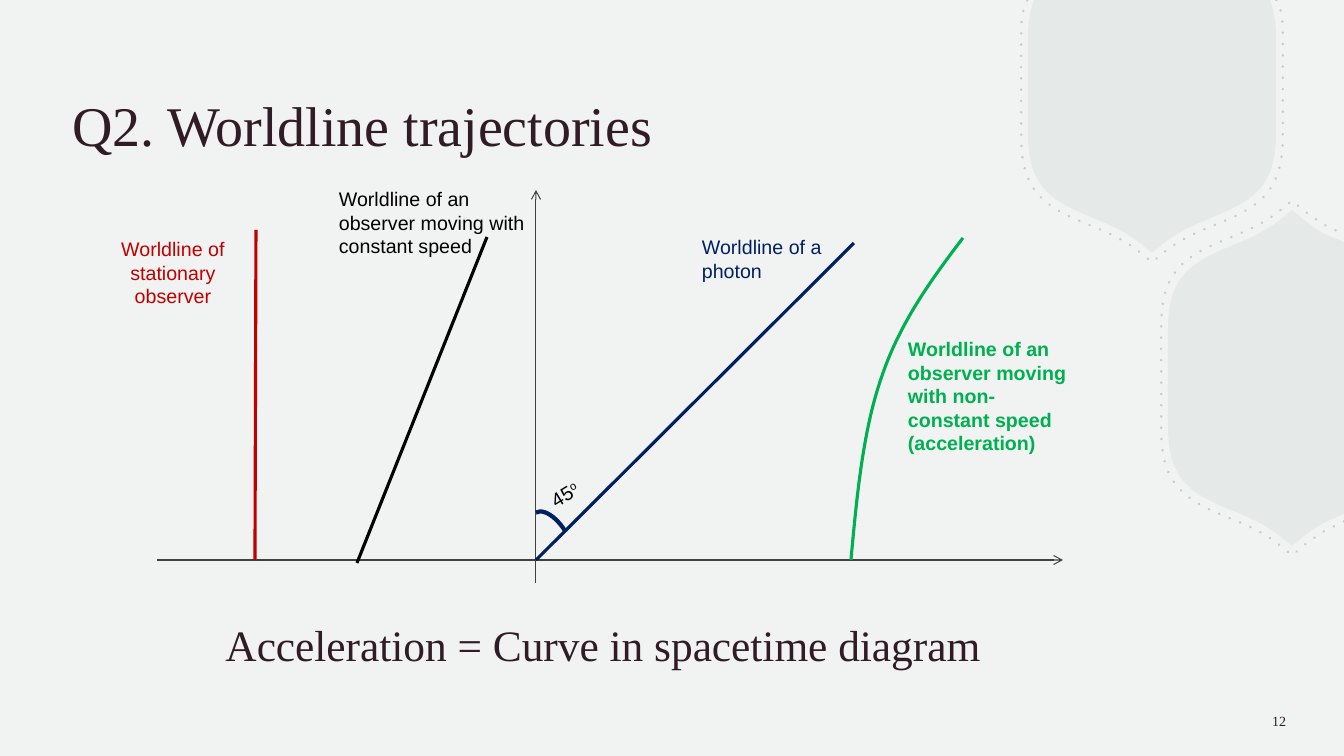
from lxml import etree
from pptx import Presentation
from pptx.dml.color import RGBColor
from pptx.enum.dml import MSO_LINE
from pptx.enum.shapes import MSO_CONNECTOR, MSO_SHAPE
from pptx.enum.text import MSO_ANCHOR as Anchor, PP_ALIGN as Align
from pptx.oxml.ns import qn
from pptx.util import Emu, Pt

WIDTH, HEIGHT = 1344, 756
PX = 914400 / 100.8
SERIF, SANS = "Times New Roman", "Arial"
PAPER, PLUM, SAGE, GREY = "F0F3F2", "311B25", "ACBDB7", "404040"
RED, BLACK, NAVY, GREEN = "C00000", "000000", "002060", "00B050"

# Content: boxes are left, top, width, height in px
TITLE = ("Q2. Worldline trajectories", (62, 66, 1001, 117))
CONCLUSION = ("Acceleration = Curve in spacetime diagram", (103, 613, 1000, 62))
NUMBER = ("12", (1240, 701, 56, 40))
LABELS = [
    ("Worldline of stationary observer", (102, 232, 142, 132), RED, Align.CENTER, False),
    ("Worldline of an observer moving with constant speed",
     (329, 182, 212, 132), BLACK, Align.LEFT, False),
    ("Worldline of a photon", (692, 230, 142, 57), NAVY, Align.LEFT, False),
    ("Worldline of an observer moving with non-constant speed (acceleration)",
     (898, 332, 181, 129), GREEN, Align.LEFT, True),
]
AXES = [((536, 583), (536, 190)), ((157, 560), (1063, 560))]
WORLDLINES = [
    ((536, 560), (854, 243), NAVY),
    ((357, 563), (487, 237), BLACK),
    ((255, 560), (256, 230), RED),
]
ACCELERATED = [(851, 560), (857, 495), (863, 430), (882, 376),
               (900, 323), (931, 280), (963, 238)]
ANGLE_TILT = 328.9
ANGLE_ARC = (537, 508, 31, 64)
ANGLE_LABEL = ("45", "o", (540, 469, 79, 40))

# Hexagons around their centre; steps: L is a line, C a curve of three points
QUARTER = [(124, 48), (124, 85), (114, 103), (92, 117), (69, 132), (38, 137), (11, 159)]
TIP = (0, 168)
TOP_CUT = [(118, -85), (122, -75), (124, -63), (124, -49)]
RIGHT_CUT = [(52, 136), (31, 145), (25, 149), (18, 153), (11, 159)]
LEFT_QUARTER = [(-x, y) for x, y in reversed(QUARTER)]
# Centre, half outline, its steps, and the signs that mirror it
HEXAGONS = [
    ((1152, 85), TOP_CUT + QUARTER + [TIP], "CLCCL", (-1, 1)),
    ((1292, 378), RIGHT_CUT + [TIP] + LEFT_QUARTER, "LCLLCC", (1, -1)),
]
OUTLINE_SCALE = 1.055


def emu(length):
    return Emu(round(length * PX))


def rgb(colour):
    return RGBColor.from_string(colour)


def set_alpha(fill, percent):
    colour = fill._xPr.find(qn("a:solidFill"))[0]
    etree.SubElement(colour, qn("a:alpha")).set("val", str(percent * 1000))


def style_line(line, colour, width):
    line.color.rgb = rgb(colour)
    line.width = Pt(width)


def hexagon(centre, half, steps, signs, scale=1):
    """Join a half outline to its mirror image, kept within the slide."""
    mirrored = [(x * signs[0], y * signs[1]) for x, y in reversed(half)]
    if mirrored[0] == half[-1]:
        points, kinds = half + mirrored[1:], steps + steps[::-1]
    else:
        points, kinds = half + mirrored, steps + "L" + steps[::-1]
    placed = [(min(centre[0] + x * scale, WIDTH), max(centre[1] + y * scale, 0))
              for x, y in points]
    return placed, kinds


def add_path(points, steps, closed=False):
    corners = [(emu(x), emu(y)) for x, y in points]
    builder = slide.shapes.build_freeform(*corners[0], scale=1.0)
    builder.add_line_segments(corners[1:], close=closed)
    outline = builder.convert_to_shape()
    outline.shadow.inherit = False
    outline.fill.background()
    # Gather the points of each curve
    segments = iter(list(outline._element.iter(qn("a:lnTo"))))
    for step in steps:
        segment = next(segments)
        if step == "C":
            segment_curve = etree.Element(qn("a:cubicBezTo"))
            segment.addprevious(segment_curve)
            for part in (segment, next(segments), next(segments)):
                segment_curve.append(part[0])
                part.getparent().remove(part)
    return outline


def add_line(start, end, colour, width):
    line = slide.shapes.add_connector(
        MSO_CONNECTOR.STRAIGHT, *map(emu, start), *map(emu, end))
    style_line(line.line, colour, width)
    etree.SubElement(line._element.spPr, qn("a:effectLst"))
    return line


def format_text(box, size, font, colour, align=Align.LEFT, bold=False, anchor=Anchor.TOP):
    box.text_frame.word_wrap = True
    box.text_frame.vertical_anchor = anchor
    paragraph = box.text_frame.paragraphs[0]
    paragraph.alignment = align
    for run in paragraph.runs:
        run.font.size = Pt(size)
        run.font.name = font
        run.font.bold = bold
        run.font.color.rgb = rgb(colour)


def add_text(text, place, *style, **options):
    box = slide.shapes.add_textbox(*map(emu, place))
    box.text_frame.text = text
    format_text(box, *style, **options)
    return box


deck = Presentation()
deck.slide_width, deck.slide_height = emu(WIDTH), emu(HEIGHT)
slide = deck.slides.add_slide(deck.slide_layouts[5])
slide.background.fill.solid()
slide.background.fill.fore_color.rgb = rgb(PAPER)

# Title
title = slide.shapes.title
title.left, title.top, title.width, title.height = map(emu, TITLE[1])
title.text_frame.text = TITLE[0]
format_text(title, 40, SERIF, PLUM, anchor=Anchor.MIDDLE)

# Hexagons with dotted outlines
for shape in HEXAGONS:
    body = add_path(*hexagon(*shape), closed=True)
    body.fill.solid()
    body.fill.fore_color.rgb = rgb(SAGE)
    set_alpha(body.fill, 15)
    body.line.fill.background()

    dots = add_path(*hexagon(*shape, scale=OUTLINE_SCALE)).line
    style_line(dots, SAGE, 2)
    set_alpha(dots.fill, 65)
    dots.dash_style = MSO_LINE.ROUND_DOT
    stroke = dots._get_or_add_ln()
    stroke.set("cap", "rnd")
    stroke.find(qn("a:prstDash")).set("val", "dot")

# Axes
for start, end in AXES:
    axis = add_line(start, end, GREY, 0.75)
    etree.SubElement(axis.line._get_or_add_ln(), qn("a:tailEnd")).set("type", "arrow")

# Worldlines
for start, end, colour in WORLDLINES:
    add_line(start, end, colour, 2.25)
style_line(add_path(ACCELERATED, "CC").line, GREEN, 2.25)
for text, place, colour, align, bold in LABELS:
    add_text(text, place, 14, SANS, colour, align, bold)

# Angle of the photon
arc = slide.shapes.add_shape(MSO_SHAPE.ARC, *map(emu, ANGLE_ARC))
arc.shadow.inherit = False
arc.fill.background()
style_line(arc.line, NAVY, 3)
arc.rotation = ANGLE_TILT
degrees, ring, place = ANGLE_LABEL
angle = add_text(degrees, place, 14, SANS, BLACK)
superscript = angle.text_frame.paragraphs[0].add_run()
superscript.text = ring
format_text(angle, 14, SANS, BLACK)
superscript.font._element.set("baseline", "30000")
angle.rotation = ANGLE_TILT

# Conclusion and slide number
add_text(*CONCLUSION, 31, SERIF, PLUM, Align.CENTER)
add_text(*NUMBER, 10, SERIF, PLUM, Align.RIGHT, anchor=Anchor.MIDDLE)

deck.save("out.pptx")
